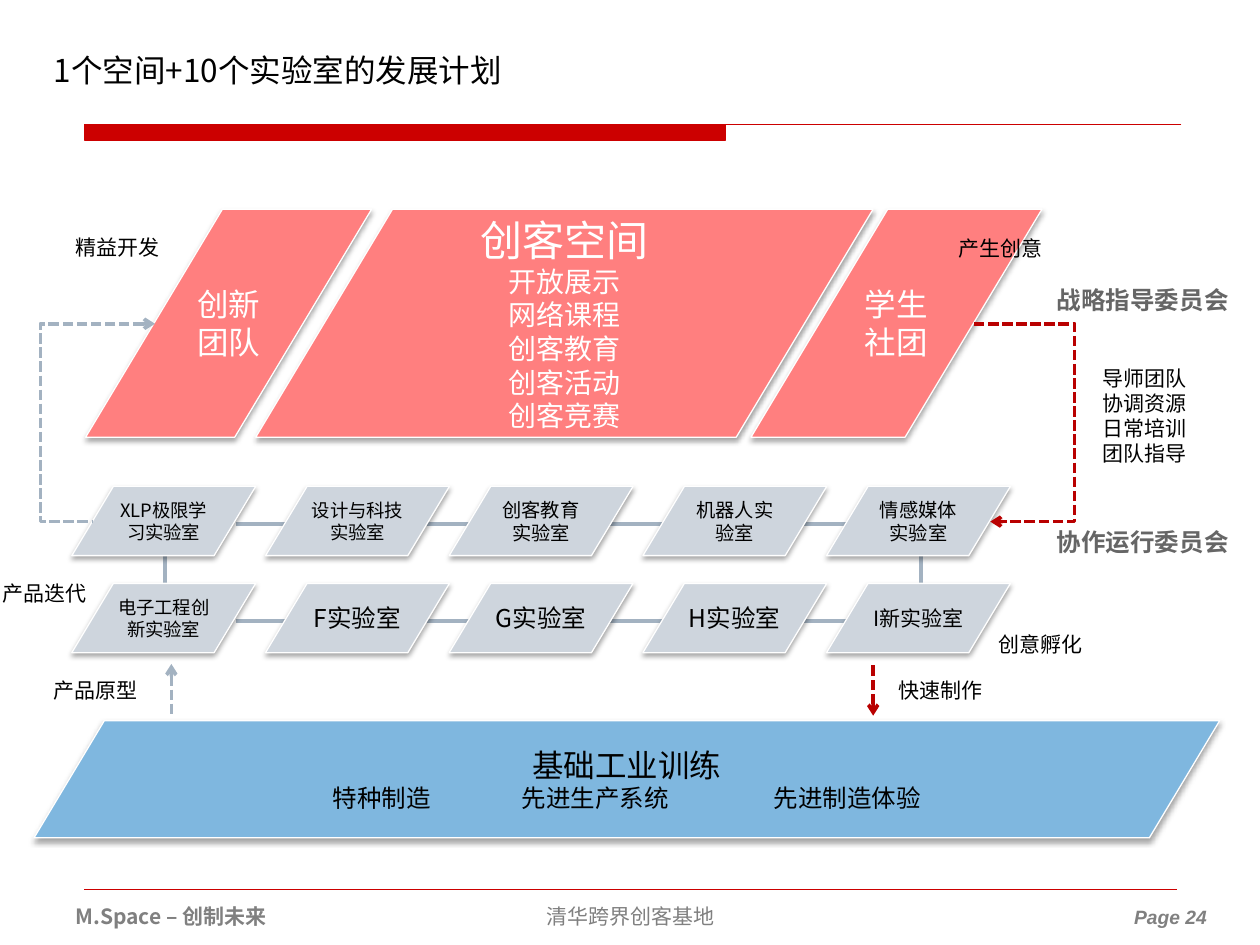
from lxml import etree
from pptx import Presentation
from pptx import util as u
from pptx.dml import color
from pptx.enum import dml, shapes, text
from pptx.oxml import ns

HUES = {"red": "CC0000", "dark": "B90000", "rose": "FF7F7F", "blue": "7FB7DF",
        "pale": "CED5DD", "steel": "A3B2C1", "white": "FFFFFF",
        "black": "000000", "gray": "808080", "slate": "666666"}
FACE = "Noto Sans CJK SC"
MID = text.PP_ALIGN.CENTER


def hue(name):
    return color.RGBColor.from_string(HUES[name])


def node(host, tag, **attrs):
    return etree.SubElement(host, ns.qn(tag), **attrs)


def write(frame, rows, tint="black", align=None, face=FACE, bold=None, slant=None):
    frame.text = "\n".join(row for row, size in rows)
    for para, (row, size) in zip(frame.paragraphs, rows):
        font = para.font
        font.size, font.name = u.Pt(size), face
        font.bold, font.italic = bold, slant
        font.color.rgb = hue(tint)
        node(para._p.pPr.find(ns.qn("a:defRPr")), "a:ea", typeface=face)
        if align is not None:
            para.alignment = align


def label(page, x, y, w, h, rows, wrap=False, anchor=text.MSO_ANCHOR.TOP, **style):
    box = page.shapes.add_textbox(u.Inches(x), u.Inches(y), u.Inches(w), u.Inches(h))
    frame = box.text_frame
    frame.word_wrap = wrap
    frame.vertical_anchor = anchor
    write(frame, rows, **style)


def slant(page, x, y, w, h, fill, rows, tint="black"):
    item = page.shapes.add_shape(shapes.MSO_SHAPE.PARALLELOGRAM, u.Inches(x),
                                 u.Inches(y), u.Inches(w), u.Inches(h))
    item.adjustments[0] = 0.6
    item.fill.solid()
    item.fill.fore_color.rgb = hue(fill)
    item.line.color.rgb = hue("white")
    item.line.width = u.Pt(0.75)
    item.shadow.inherit = False
    glow = item._element.spPr.find(ns.qn("a:effectLst"))
    shade = node(glow, "a:outerShdw", blurRad=str(u.Pt(3.1)), dist=str(u.Pt(1.8)),
                 dir="5400000", rotWithShape="0")
    node(node(shade, "a:srgbClr", val=HUES["black"]), "a:alpha", val="35000")
    item.text_frame.vertical_anchor = text.MSO_ANCHOR.MIDDLE
    write(item.text_frame, rows, tint, MID)


def link(page, x1, y1, x2, y2, tint, width=2, tip=None, via=None):
    kind = shapes.MSO_CONNECTOR.STRAIGHT if via is None else shapes.MSO_CONNECTOR.ELBOW
    wire = page.shapes.add_connector(kind, u.Inches(x1), u.Inches(y1),
                                     u.Inches(x2), u.Inches(y2))
    wire.line.color.rgb = hue(tint)
    wire.line.width = u.Pt(width)
    props = wire._element.spPr
    if tip:
        wire.line.dash_style = dml.MSO_LINE.SQUARE_DOT
        node(props.find(ns.qn("a:ln")), tip, type="arrow")
    if via is not None:
        bend = round((via - x1) / (x2 - x1) * 100000)
        guide = props.find(ns.qn("a:prstGeom")).find(ns.qn("a:avLst"))
        node(guide, "a:gd", name="adj1", fmla=f"val {bend}")
    node(props, "a:effectLst")


def header(page, x, y, w, h):
    label(page, x, y, 3.86, 0.4, [("1个空间+10个实验室的发展计划", 18)], wrap=True)
    left, top, low = x + 0.34, y + 0.63, y + h
    draw = page.shapes.build_freeform(u.Inches(left), u.Inches(top))
    spots = [(x + w, top), (x + 5.43, top), (x + 5.43, low), (left, low)]
    draw.add_line_segments([(u.Inches(a), u.Inches(b)) for a, b in spots])
    bar = draw.convert_to_shape()
    bar.fill.solid()
    bar.fill.fore_color.rgb = hue("red")
    bar.line.color.rgb = hue("red")
    bar.line.width = u.Pt(0.75)
    bar.shadow.inherit = False


def space(page, x, y, w, h):
    topics = ["开放展示", "网络课程", "创客教育", "创客活动", "创客竞赛"]
    rows = [("创客空间", 24)] + [(topic, 16) for topic in topics]
    slant(page, x + 1.35, y, 4.9, h, "rose", rows, "white")
    slant(page, x + w - 2.31, y, 2.31, h, "rose", [("学生", 18), ("社团", 18)], "white")
    slant(page, x, y, 2.27, h, "rose", [("创新", 18), ("团队", 18)], "white")


def labs(page, x, y, w, h):
    tall, wide, step = 0.55, 1.46, h - 0.55
    for left in (x + 0.74, x + 6.74):
        link(page, left, y + 0.44, left, y + 0.92, "steel")
    grid = [
        [("XLP极限学习实验室", 10.5), ("设计与科技实验室", 10.5),
         ("创客教育实验室", 11), ("机器人实验室", 11), ("情感媒体实验室", 11)],
        [("电子工程创新实验室", 10.5), ("F实验室", 14), ("G实验室", 14),
         ("H实验室", 14), ("I新实验室", 12)],
    ]
    for i, line in enumerate(grid):
        top = y + i * step
        link(page, x + 1.3, top + 0.3, x + w - 1.28, top + 0.3, "steel")
        for j, lab in enumerate(line):
            left = x + j * (w - wide) / 4 + (j % 2) * 0.04
            slant(page, left, top, wide, tall, "pale", [lab])


def base(page, x, y, w, h):
    rows = [("基础工业训练", 18), ("特种制造\t\t先进生产系统\t\t先进制造体验", 14)]
    slant(page, x, y, w, h, "blue", rows)


def flow(page, x, y, w, h):
    head, tail = "a:headEnd", "a:tailEnd"
    link(page, x + 1.23, y + 0.76, x + 0.74, y + 2.33, "steel", tip=head, via=x + 0.32)
    link(page, x + 7.73, y + 0.76, x + 7.86, y + 2.33, "dark", tip=tail, via=x + 8.53)
    link(page, x + 6.93, y + h, x + 6.93, y + h - 0.41, "dark", tip=head)
    link(page, x + 1.36, y + h - 0.41, x + 1.36, y + h, "steel", tip=head)
    notes = [(7.51, 0.01, "产生创意"), (7.03, 3.52, "快速制作"), (7.83, 3.15, "创意孵化"),
             (0.33, 3.52, "产品原型"), (-0.08, 2.75, "产品迭代"), (0.5, 0, "精益开发")]
    for left, top, note in notes:
        label(page, x + left, y + top, 0.88, 0.3, [(note, 12)])
    duties = ["导师团队", "协调资源", "日常培训", "团队指导"]
    label(page, x + 8.65, y + 1.04, 0.88, 0.91, [(duty, 12) for duty in duties])
    for top, board in ((0.4, "战略指导委员会"), (2.32, "协作运行委员会")):
        label(page, x + 8.28, y + top, 1.58, 0.34, [(board, 14)],
              tint="slate", align=MID, bold=True)


def footer(page, x, y, w, h):
    link(page, x + 0.17, y, x + 8.84, y, "red", 0.25)
    style = {"anchor": text.MSO_ANCHOR.MIDDLE, "tint": "gray"}
    label(page, x, y + 0.01, 2.33, h, [("M.Space – 创制未来", 12)],
          wrap=True, bold=True, **style)
    label(page, x + 2.92, y + 0.01, 3.17, h, [("清华跨界创客基地", 12)],
          wrap=True, align=MID, **style)
    label(page, x + w - 0.8, y + 0.07, 0.8, 0.29, [("Page 24", 11)],
          align=MID, face="Arial", bold=True, slant=True, **style)


def main():
    deck = Presentation()
    deck.slide_width, deck.slide_height = u.Inches(10), u.Inches(7.5)
    page = deck.slides.add_slide(deck.slide_layouts[6])
    header(page, 0.33, 0.36, 9.04, 0.75)
    space(page, 0.68, 1.66, 7.59, 1.81)
    base(page, 0.27, 5.72, 9.41, 0.93)
    labs(page, 0.57, 3.86, 7.45, 1.32)
    flow(page, 0, 1.81, 10, 3.87)
    footer(page, 0.5, 7.06, 9.19, 0.4)
    deck.save("out.pptx")


if __name__ == "__main__":
    main()
